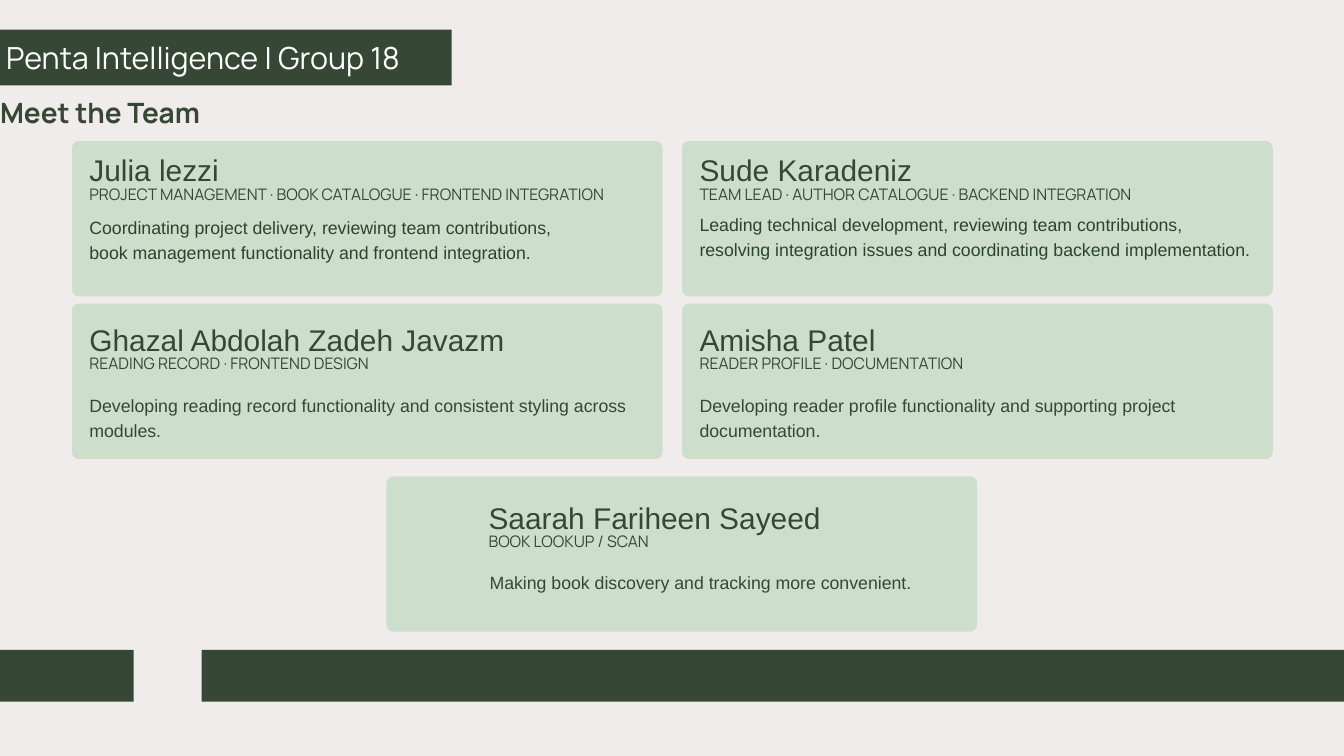
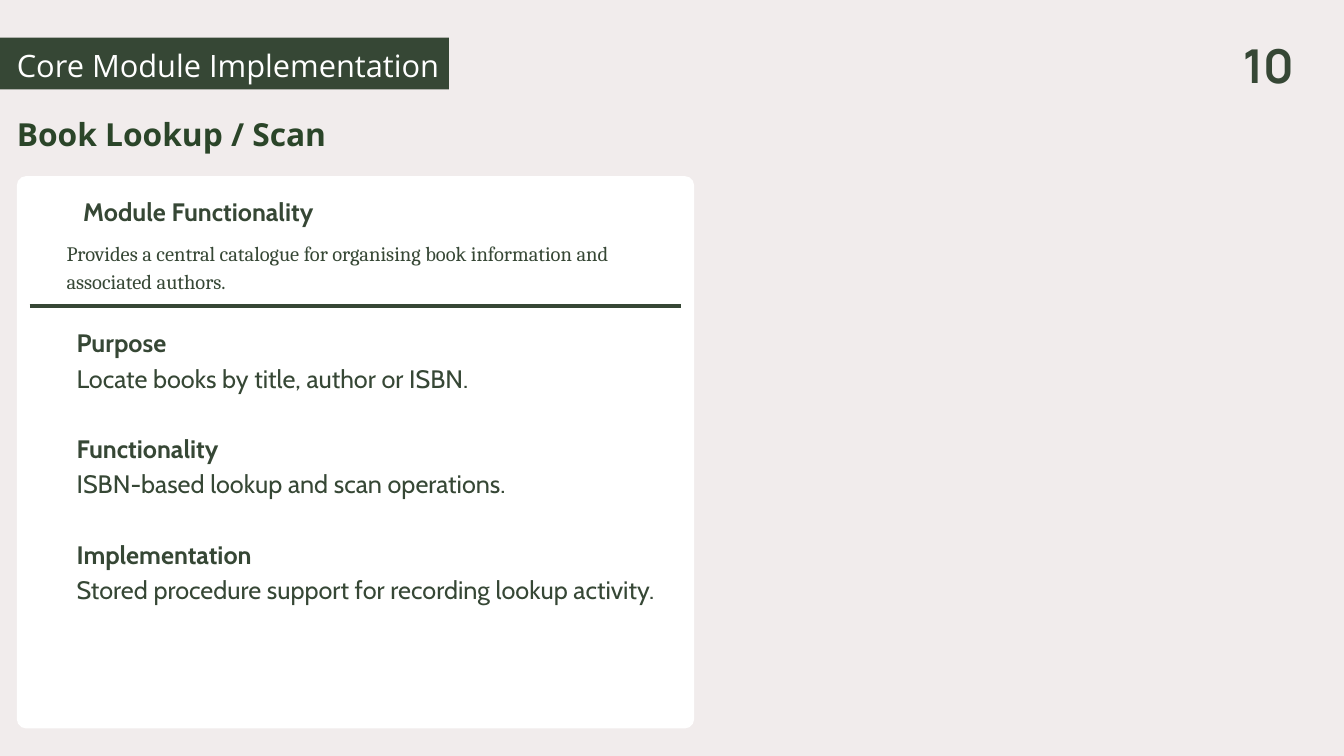
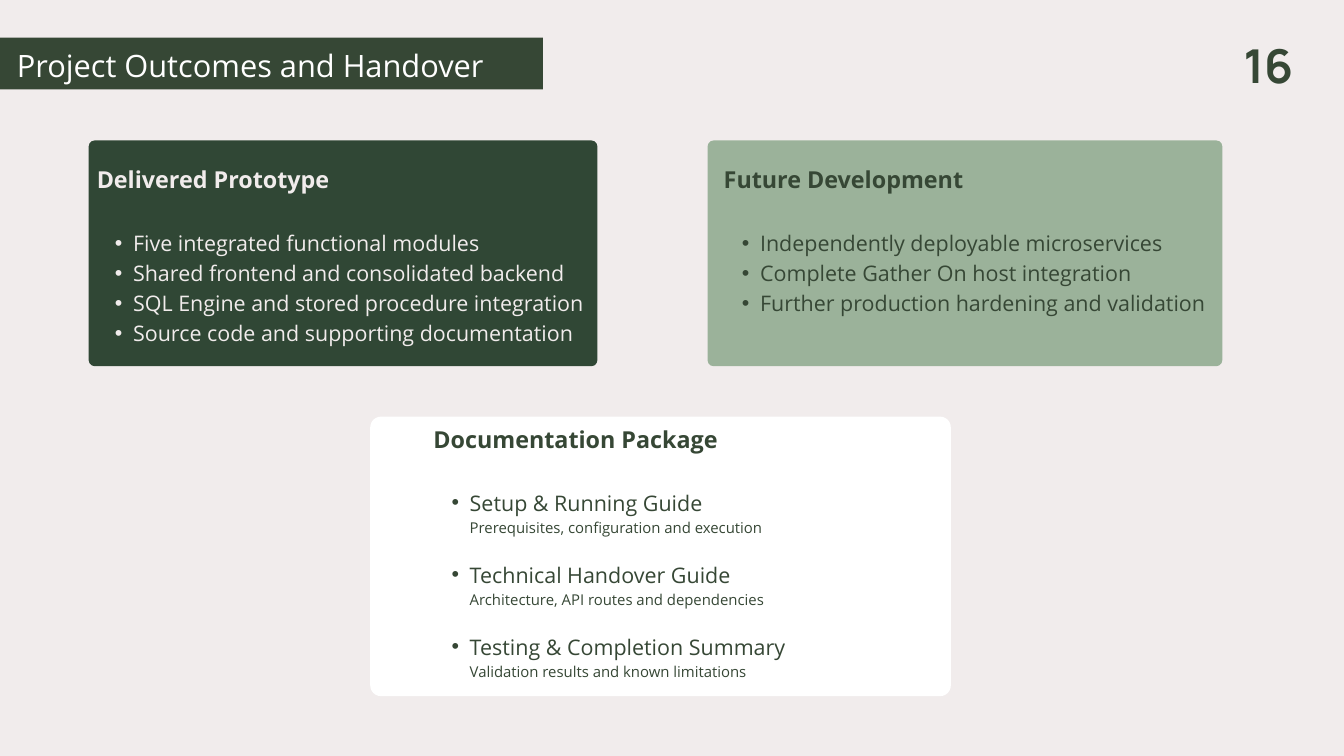
"""Build three slides: the team, the lookup module and the project handover."""

from dataclasses import dataclass, replace
from typing import NamedTuple

from lxml.etree import SubElement
from pptx import Presentation
from pptx.dml.color import RGBColor
from pptx.enum.shapes import MSO_CONNECTOR, MSO_SHAPE
from pptx.enum.text import MSO_AUTO_SIZE, PP_ALIGN
from pptx.oxml.ns import qn
from pptx.presentation import Presentation as PresentationType
from pptx.slide import Slide
from pptx.util import Emu, Pt

PX = 9144
LINE_FACTOR = 1.4
BULLET_INDENT = 54
BULLET_HANG = 27
CARD_WIDTH, CARD_HEIGHT, CARD_RADIUS = 879, 231, 10
ROLE_OFFSET = 53

PAPER = RGBColor(0xF1, 0xEC, 0xEC)
WHITE = RGBColor(0xFF, 0xFF, 0xFF)
FOREST = RGBColor(0x36, 0x47, 0x35)
LEAF = RGBColor(0x2B, 0x45, 0x29)
PINE = RGBColor(0x30, 0x47, 0x35)
SAGE = RGBColor(0x9B, 0xB2, 0x9A)
MINT = RGBColor(0xCE, 0xDE, 0xCD)


class Box(NamedTuple):
    left: int
    top: int
    width: int
    height: int


@dataclass(frozen=True)
class Style:
    font: str
    size: float
    color: RGBColor = FOREST
    bold: bool = False
    align: PP_ALIGN = PP_ALIGN.LEFT
    bullet: bool = False
    indent: int = 0


class Line(NamedTuple):
    text: str
    style: Style
    gap: float = 0


class Member(NamedTuple):
    name: str
    role: str
    summary: str
    card_left: int
    card_top: int
    name_box: Box
    role_width: int
    summary_box: Box
    summary_style: Style


class Panel(NamedTuple):
    box: Box
    radius: int
    fill: RGBColor
    text_box: Box
    lines: list[Line]


BAND_TITLE = Style("Open Sans", 33, WHITE)
TEAM_TITLE = Style("Manrope", 32.6, WHITE)
TEAM_HEADING = Style("Manrope", 30, bold=True)
PAGE_NUMBER = Style("Manrope", 50, bold=True, align=PP_ALIGN.CENTER)
MEMBER_NAME = Style("Arial", 32, align=PP_ALIGN.JUSTIFY)
MEMBER_ROLE = Style("Manrope", 17, align=PP_ALIGN.JUSTIFY)
SUMMARY = Style("Arial", 19)
LEAF_SUMMARY = replace(SUMMARY, color=LEAF)
CENTERED_SUMMARY = replace(SUMMARY, align=PP_ALIGN.CENTER)
MODULE_TITLE = Style("Open Sans", 34, LEAF, bold=True)
MODULE_BODY = Style("Cabin", 27)
MODULE_HEADING = replace(MODULE_BODY, bold=True)
MODULE_INTRO = Style("Cambria", 22)
PANEL_HEADING = Style("Open Sans", 25, bold=True, align=PP_ALIGN.JUSTIFY)
PANEL_BULLET = Style("Open Sans", 23, bullet=True, indent=BULLET_INDENT)
PANEL_DETAIL = Style("Open Sans", 16, indent=BULLET_INDENT)

MEMBERS = [
    Member("Julia lezzi", "PROJECT MANAGEMENT · BOOK CATALOGUE · FRONTEND INTEGRATION",
           "Coordinating project delivery, reviewing team contributions, "
           "book management functionality and frontend integration.",
           107, 210, Box(133, 217, 254, 59), 812, Box(133, 317, 749, 108), LEAF_SUMMARY),
    Member("Sude Karadeniz", "TEAM LEAD · AUTHOR CATALOGUE · BACKEND INTEGRATION",
           "Leading technical development, reviewing team contributions, "
           "resolving integration issues and coordinating backend implementation.",
           1015, 210, Box(1041, 217, 386, 59), 680, Box(1041, 313, 822, 108), LEAF_SUMMARY),
    Member("Ghazal Abdolah Zadeh Javazm", "READING RECORD · FRONTEND DESIGN",
           "Developing reading record functionality and consistent styling across modules.",
           107, 452, Box(133, 469, 713, 59), 677, Box(133, 582, 831, 72), SUMMARY),
    Member("Amisha Patel", "READER PROFILE · DOCUMENTATION",
           "Developing reader profile functionality and supporting project documentation.",
           1015, 452, Box(1041, 469, 325, 59), 602, Box(1041, 582, 725, 72), SUMMARY),
    Member("Saarah Fariheen Sayeed", "BOOK LOOKUP / SCAN",
           "Making book discovery and tracking more convenient.",
           575, 709, Box(727, 734, 585, 59), 304, Box(704, 846, 677, 72), CENTERED_SUMMARY),
]

MODULE_NOTES = [
    ("Purpose", "Locate books by title, author or ISBN."),
    ("Functionality", "ISBN-based lookup and scan operations."),
    ("Implementation", "Stored procedure support for recording lookup activity."),
]


def bullet_panel_lines(heading: str, items: list[str], color: RGBColor) -> list[Line]:
    """Return a heading followed by bullets, with one gap between them."""
    bullet = replace(PANEL_BULLET, color=color)
    return [Line(heading, replace(PANEL_HEADING, color=color))] + [
        Line(item, bullet, 0 if index else 35) for index, item in enumerate(items)
    ]


def guide_lines(heading: str, guides: list[tuple[str, str]]) -> list[Line]:
    """Return a heading followed by guides, each with a line of detail."""
    lines = [Line(heading, PANEL_HEADING)]
    for index, (guide, detail) in enumerate(guides):
        lines.append(Line(guide, PANEL_BULLET, 22.5 if index else 35))
        lines.append(Line(detail, PANEL_DETAIL))
    return lines


PANELS = [
    Panel(Box(132, 209, 757, 336), 9, PINE, Box(144, 239, 726, 269),
          bullet_panel_lines("Delivered Prototype", [
              "Five integrated functional modules",
              "Shared frontend and consolidated backend",
              "SQL Engine and stored procedure integration",
              "Source code and supporting documentation",
          ], PAPER)),
    Panel(Box(1053, 209, 766, 336), 9, SAGE, Box(1077, 239, 718, 221),
          bullet_panel_lines("Future Development", [
              "Independently deployable microservices",
              "Complete Gather On host integration",
              "Further production hardening and validation",
          ], FOREST)),
    Panel(Box(551, 620, 864, 416), 16, WHITE, Box(645, 625, 710, 382),
          guide_lines("Documentation Package", [
              ("Setup & Running Guide", "Prerequisites, configuration and execution"),
              ("Technical Handover Guide", "Architecture, API routes and dependencies"),
              ("Testing & Completion Summary", "Validation results and known limitations"),
          ])),
]


def px(length: int) -> Emu:
    """Convert px to EMU."""
    return Emu(length * PX)


def add_block(slide: Slide, box: Box, fill: RGBColor, radius: int = 0) -> None:
    """Draw a filled rectangle, rounded when a radius is given."""
    kind = MSO_SHAPE.ROUNDED_RECTANGLE if radius else MSO_SHAPE.RECTANGLE
    shape = slide.shapes.add_shape(kind, *map(px, box))
    if radius:
        shape.adjustments[0] = radius / min(box.width, box.height)
    shape.shadow.inherit = False
    shape.fill.solid()
    shape.fill.fore_color.rgb = fill
    shape.line.fill.background()


def add_text(slide: Slide, box: Box, lines: list[Line]) -> None:
    """Write styled paragraphs in a text box without margins."""
    text_frame = slide.shapes.add_textbox(*map(px, box)).text_frame
    text_frame.word_wrap = True
    text_frame.auto_size = MSO_AUTO_SIZE.SHAPE_TO_FIT_TEXT
    text_frame.margin_left = text_frame.margin_right = 0
    text_frame.margin_top = text_frame.margin_bottom = 0
    text_frame.text = "\n".join(line.text for line in lines)
    for paragraph, (_, style, gap) in zip(text_frame.paragraphs, lines):
        properties = paragraph._p.get_or_add_pPr()
        if style.indent:
            properties.set("marL", str(px(style.indent)))
        if style.bullet:
            paragraph.level = 1
            properties.set("indent", str(px(-BULLET_HANG)))
            SubElement(properties, qn("a:buFont")).set("typeface", "Arial")
            SubElement(properties, qn("a:buChar")).set("char", "•")
        paragraph.alignment = style.align
        paragraph.line_spacing = Pt(style.size * LINE_FACTOR)
        if gap:
            paragraph.space_before = Pt(gap)
        for run in paragraph.runs:
            run.font.name = style.font
            run.font.size = Pt(style.size)
            run.font.bold = style.bold
            run.font.color.rgb = style.color


def add_rule(slide: Slide, left: int, right: int, top: int) -> None:
    """Draw a horizontal dividing line."""
    connector = slide.shapes.add_connector(
        MSO_CONNECTOR.STRAIGHT, px(left), px(top), px(right), px(top))
    connector.line.color.rgb = FOREST
    connector.line.width = Pt(4)
    SubElement(connector._element.spPr, qn("a:effectLst"))


def add_slide(presentation: PresentationType) -> Slide:
    """Add a blank slide with the shared background."""
    slide = presentation.slides.add_slide(presentation.slide_layouts[6])
    slide.background.fill.solid()
    slide.background.fill.fore_color.rgb = PAPER
    return slide


def add_numbered_slide(
    presentation: PresentationType, title: str, number: int, band_width: int, title_width: int
) -> Slide:
    """Add a slide with a title band and a page number."""
    slide = add_slide(presentation)
    add_block(slide, Box(-6, 56, band_width, 77), FOREST)
    add_text(slide, Box(25, 60, title_width, 62), [Line(title, BAND_TITLE)])
    add_text(slide, Box(1819, 41, 137, 99), [Line(str(number), PAGE_NUMBER)])
    return slide


def add_member(slide: Slide, member: Member) -> None:
    """Draw the card of one team member."""
    name_box = member.name_box
    role_box = Box(name_box.left, name_box.top + ROLE_OFFSET, member.role_width, 34)
    card = Box(member.card_left, member.card_top, CARD_WIDTH, CARD_HEIGHT)
    add_block(slide, card, MINT, CARD_RADIUS)
    add_text(slide, name_box, [Line(member.name, MEMBER_NAME)])
    add_text(slide, role_box, [Line(member.role, MEMBER_ROLE)])
    add_text(slide, member.summary_box, [Line(member.summary, member.summary_style)])


def build_team(presentation: PresentationType) -> None:
    """Build the team slide."""
    slide = add_slide(presentation)
    for band in (Box(300, 967, 1700, 77), Box(0, 967, 199, 77), Box(-6, 44, 678, 83)):
        add_block(slide, band, FOREST)
    add_text(slide, Box(0, 134, 431, 59), [Line("Meet the Team", TEAM_HEADING)])
    add_text(slide, Box(9, 49, 731, 63), [Line("Penta Intelligence | Group 18", TEAM_TITLE)])
    for member in MEMBERS:
        add_member(slide, member)


def build_module(presentation: PresentationType) -> None:
    """Build the lookup module slide."""
    slide = add_numbered_slide(presentation, "Core Module Implementation", 10, 674, 732)
    add_text(slide, Box(25, 162, 667, 63), [Line("Book Lookup / Scan", MODULE_TITLE)])
    add_block(slide, Box(25, 262, 1008, 822), WHITE, 14)
    centered_heading = replace(MODULE_HEADING, align=PP_ALIGN.CENTER)
    add_text(slide, Box(99, 285, 392, 51), [Line("Module Functionality", centered_heading)])
    intro = "Provides a central catalogue for organising book information and associated authors."
    add_text(slide, Box(99, 352, 908, 83), [Line(intro, MODULE_INTRO)])
    add_rule(slide, 44, 1014, 455)
    lines = []
    for index, (heading, note) in enumerate(MODULE_NOTES):
        lines.append(Line(heading, MODULE_HEADING, 37.8 if index else 0))
        lines.append(Line(note, MODULE_BODY))
    add_text(slide, Box(114, 480, 878, 511), lines)


def build_handover(presentation: PresentationType) -> None:
    """Build the outcomes and handover slide."""
    slide = add_numbered_slide(presentation, "Project Outcomes and Handover", 16, 814, 799)
    for panel in PANELS:
        add_block(slide, panel.box, panel.fill, panel.radius)
        add_text(slide, panel.text_box, panel.lines)


def main() -> None:
    """Build and save the presentation."""
    presentation = Presentation()
    presentation.slide_width = px(2000)
    presentation.slide_height = px(1125)
    build_team(presentation)
    build_module(presentation)
    build_handover(presentation)
    presentation.save("out.pptx")


if __name__ == "__main__":
    main()
